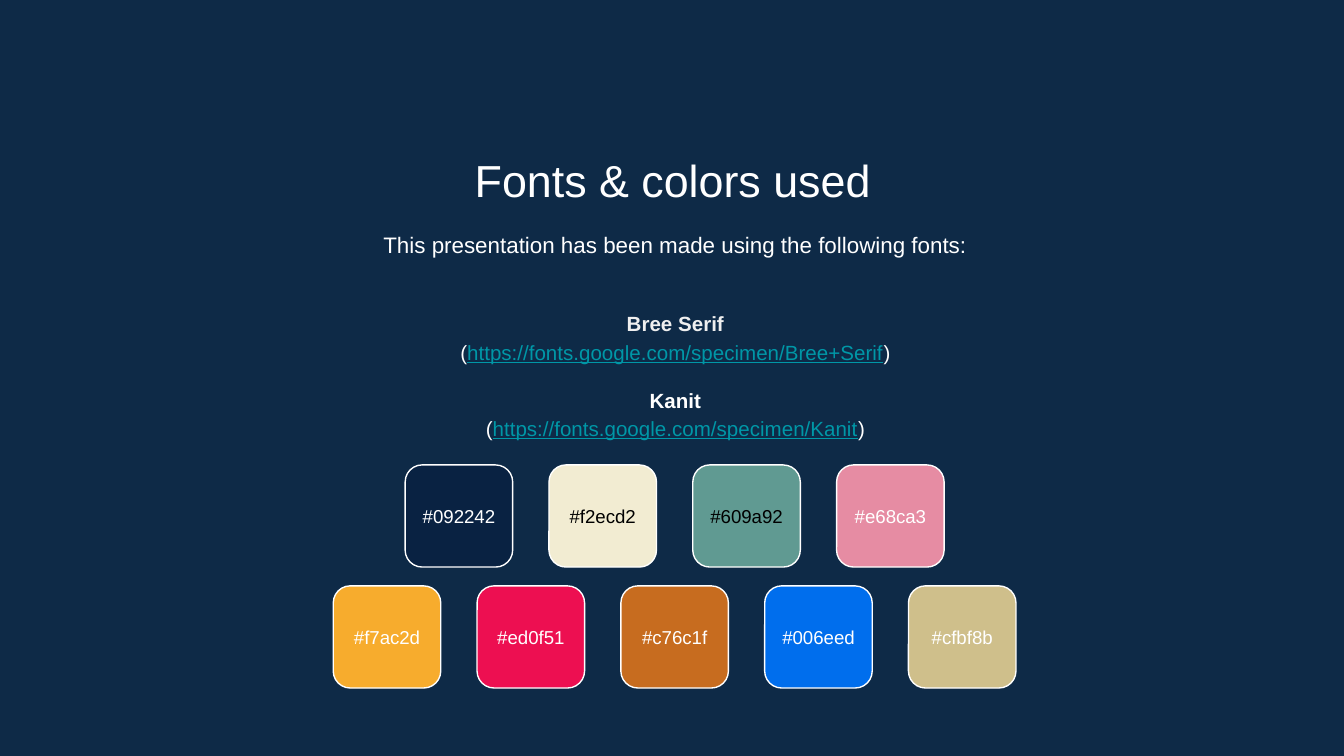
from pptx import Presentation
from pptx.dml.color import RGBColor
from pptx.enum.shapes import MSO_SHAPE
from pptx.enum.text import MSO_ANCHOR, PP_ALIGN
from pptx.util import Inches, Pt

WHITE, BLACK, PALE, LINK = "FFFFFF", "000000", "EFEFEF", "0097A7"


def color(hex_value):
    return RGBColor.from_string(hex_value.upper())


def add_run(paragraph, text, size, hex_value=WHITE, bold=False, underline=False):
    paragraph.alignment = PP_ALIGN.CENTER
    run = paragraph.add_run()
    run.text = text
    run.font.name = "Arial"
    run.font.size = Pt(size)
    run.font.bold = bold
    run.font.underline = underline
    run.font.color.rgb = color(hex_value)


presentation = Presentation()
presentation.slide_width = Inches(10)
presentation.slide_height = Inches(10) * 9 // 16
slide = presentation.slides.add_slide(presentation.slide_layouts[6])
slide.background.fill.solid()
slide.background.fill.fore_color.rgb = color("0E2A47")

# Title, introduction and font list
frames = []
for left, top, height, anchor in [
    (1.15, 1.04, 0.53, MSO_ANCHOR.TOP),
    (1.17, 1.59, 0.48, MSO_ANCHOR.TOP),
    (1.17, 2.1, 1.37, MSO_ANCHOR.MIDDLE),
]:
    box = slide.shapes.add_textbox(Inches(left), Inches(top), Inches(7.71), Inches(height))
    frame = box.text_frame
    frame.word_wrap = True
    frame.vertical_anchor = anchor
    frame.margin_top = frame.margin_bottom = Inches(0.1)
    frames.append(frame)
title, introduction, font_list = frames

add_run(title.paragraphs[0], "Fonts & colors used", 24)
introduction.paragraphs[0].line_spacing = 1.15
add_run(introduction.paragraphs[0],
        "This presentation has been made using the following fonts:", 12)

fonts = [
    ("Bree Serif", PALE, "https://fonts.google.com/specimen/Bree+Serif"),
    ("Kanit", WHITE, "https://fonts.google.com/specimen/Kanit"),
]
for index, (name, name_color, address) in enumerate(fonts):
    if index == 0:
        name_line = font_list.paragraphs[0]
    else:
        name_line = font_list.add_paragraph()
        name_line.space_before = Pt(10.6)
    address_line = font_list.add_paragraph()
    name_line.line_spacing = address_line.line_spacing = 1.15
    add_run(name_line, name, 11, name_color, bold=True)
    add_run(address_line, "(", 11)
    add_run(address_line, address, 11, LINK, underline=True)
    add_run(address_line, ")", 11)

# Color swatches, each row centered on the same axis
CENTER, PITCH, SWATCH_WIDTH, SWATCH_HEIGHT = 5.02, 1.07, 0.8, 0.76
swatch_rows = [
    (3.46, ["#092242", "#f2ecd2", "#609a92", "#e68ca3"]),
    (4.36, ["#f7ac2d", "#ed0f51", "#c76c1f", "#006eed", "#cfbf8b"]),
]
dark_labels = {"#f2ecd2", "#609a92"}
for top, codes in swatch_rows:
    first_left = CENTER - (len(codes) - 1) * PITCH / 2 - SWATCH_WIDTH / 2
    for column, code in enumerate(codes):
        swatch = slide.shapes.add_shape(
            MSO_SHAPE.ROUNDED_RECTANGLE, Inches(first_left + column * PITCH), Inches(top),
            Inches(SWATCH_WIDTH), Inches(SWATCH_HEIGHT))
        swatch.shadow.inherit = False
        swatch.fill.solid()
        swatch.fill.fore_color.rgb = color(code[1:])
        swatch.line.color.rgb = color(WHITE)
        swatch.line.width = Pt(0.75)
        frame = swatch.text_frame
        frame.word_wrap = True
        frame.vertical_anchor = MSO_ANCHOR.MIDDLE
        frame.margin_left = frame.margin_right = Inches(0.05)
        add_run(frame.paragraphs[0], code, 10, BLACK if code in dark_labels else WHITE)

presentation.save("out.pptx")
